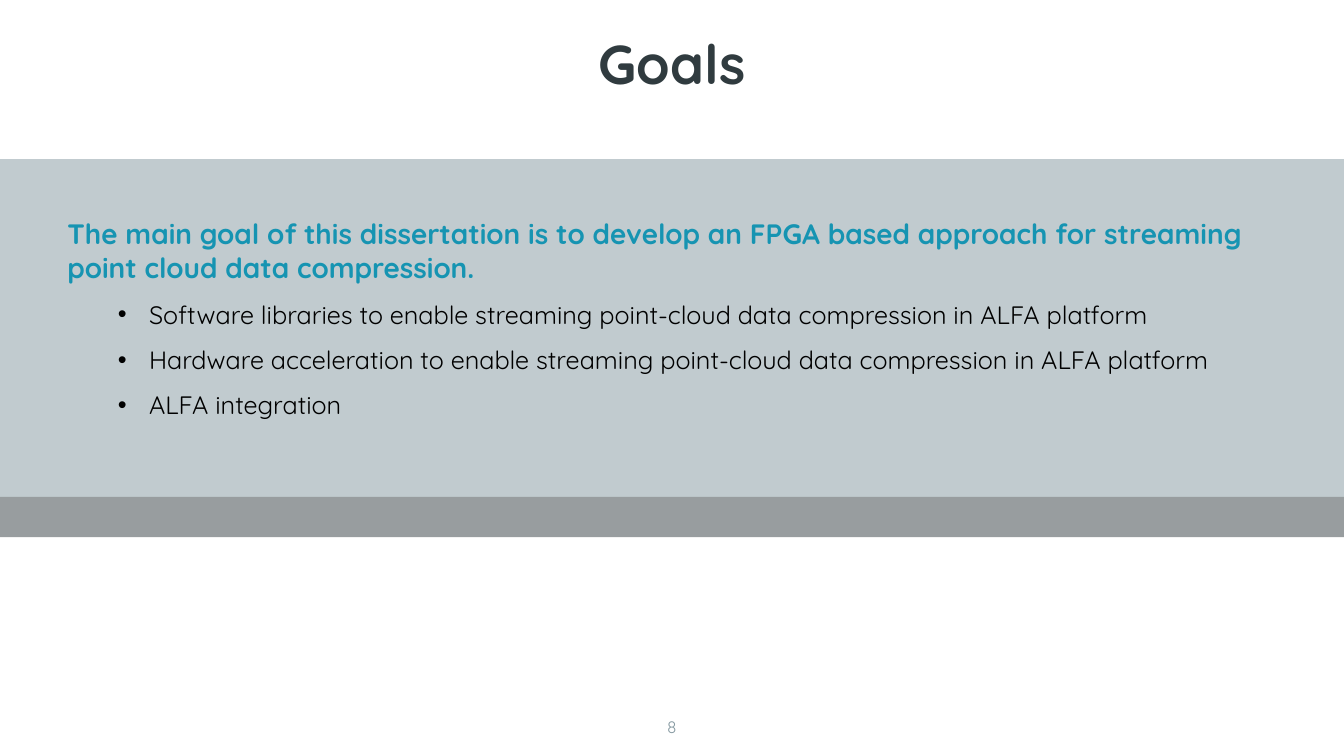
from dataclasses import dataclass

from lxml import etree
from pptx import Presentation
from pptx.dml.color import RGBColor
from pptx.enum.shapes import MSO_SHAPE
from pptx.enum.text import MSO_ANCHOR, PP_ALIGN
from pptx.oxml.ns import qn
from pptx.util import Inches, Pt

RECT = MSO_SHAPE.RECTANGLE
TOP, BOTTOM = MSO_ANCHOR.TOP, MSO_ANCHOR.BOTTOM
LEFT, CENTER = PP_ALIGN.LEFT, PP_ALIGN.CENTER
WIDTH, HEIGHT = 13.33, 7.5


@dataclass(frozen=True)
class Theme:
    font: str = "Quicksand"
    dark: str = "303B3F"
    slate: str = "8498A0"
    gray: str = "989D9F"
    teal: str = "1694B2"
    black: str = "000000"
    title: int = 39
    lead: int = 20
    item: int = 18
    small: int = 12


@dataclass(frozen=True)
class Band:
    top: float
    height: float
    color: str
    alpha: int = 100


@dataclass(frozen=True)
class Style:
    size: int
    color: str
    bold: bool = False


THEME = Theme()
BANDS = [
    Band(1.58, 3.37, THEME.slate, 50),
    Band(4.93, 0.4, THEME.gray),
]
LEAD = ("The main goal of this dissertation is to develop an FPGA based "
        "approach for streaming point cloud data compression.")
GOALS = [
    "Software libraries to enable streaming point-cloud data compression in ALFA platform",
    "Hardware acceleration to enable streaming point-cloud data compression in ALFA platform",
    "ALFA integration",
]


def add_band(slide, band: Band) -> None:
    shape = slide.shapes.add_shape(
        RECT, 0, Inches(band.top), Inches(WIDTH), Inches(band.height))
    shape.shadow.inherit = False
    shape.line.fill.background()
    shape.fill.solid()
    shape.fill.fore_color.rgb = RGBColor.from_string(band.color)
    if band.alpha < 100:
        color = shape.fill._xPr.find(qn("a:solidFill"))[0]
        etree.SubElement(color, qn("a:alpha"), val=str(band.alpha * 1000))


def place(shape, left: float, top: float, width: float, height: float,
          anchor=TOP):
    shape.left, shape.top = Inches(left), Inches(top)
    shape.width, shape.height = Inches(width), Inches(height)
    frame = shape.text_frame
    frame.word_wrap = True
    frame.vertical_anchor = anchor
    return frame


def add_box(slide, left: float, top: float, width: float, height: float,
            anchor=TOP):
    box = slide.shapes.add_textbox(0, 0, 0, 0)
    return place(box, left, top, width, height, anchor)


def write(para, text: str, style: Style, align=LEFT, space: float = 1) -> None:
    para.text = text
    para.alignment = align
    para.line_spacing = space
    for run in para.runs:
        run.font.name = THEME.font
        run.font.size = Pt(style.size)
        run.font.bold = style.bold
        run.font.color.rgb = RGBColor.from_string(style.color)


def add_goal(frame, text: str) -> None:
    para = frame.add_paragraph()
    para.level = 1
    write(para, text, Style(THEME.item, THEME.black), space=1.5)
    props = para._p.get_or_add_pPr()
    props.set("marL", str(Inches(0.81)))
    props.set("indent", str(Inches(-0.31)))
    etree.SubElement(props, qn("a:buFont"), typeface="Arial")
    etree.SubElement(props, qn("a:buChar"), char="•")


def main() -> None:
    deck = Presentation()
    deck.slide_width, deck.slide_height = Inches(WIDTH), Inches(HEIGHT)
    slide = deck.slides.add_slide(deck.slide_layouts[5])

    for band in BANDS:
        add_band(slide, band)

    title = place(slide.shapes.title, 0, 0.26, WIDTH, 0.75, BOTTOM)
    write(title.paragraphs[0], "Goals",
          Style(THEME.title, THEME.dark, True), CENTER, 0.9)

    number = add_box(slide, 0, 7.12, WIDTH, 0.24, BOTTOM)
    write(number.paragraphs[0], "8",
          Style(THEME.small, THEME.slate), CENTER, 0.9)

    body = add_box(slide, 0.57, 2.1, 12.2, 4.26)
    write(body.paragraphs[0], LEAD, Style(THEME.lead, THEME.teal, True))
    for goal in GOALS:
        add_goal(body, goal)

    deck.save("out.pptx")


if __name__ == "__main__":
    main()
